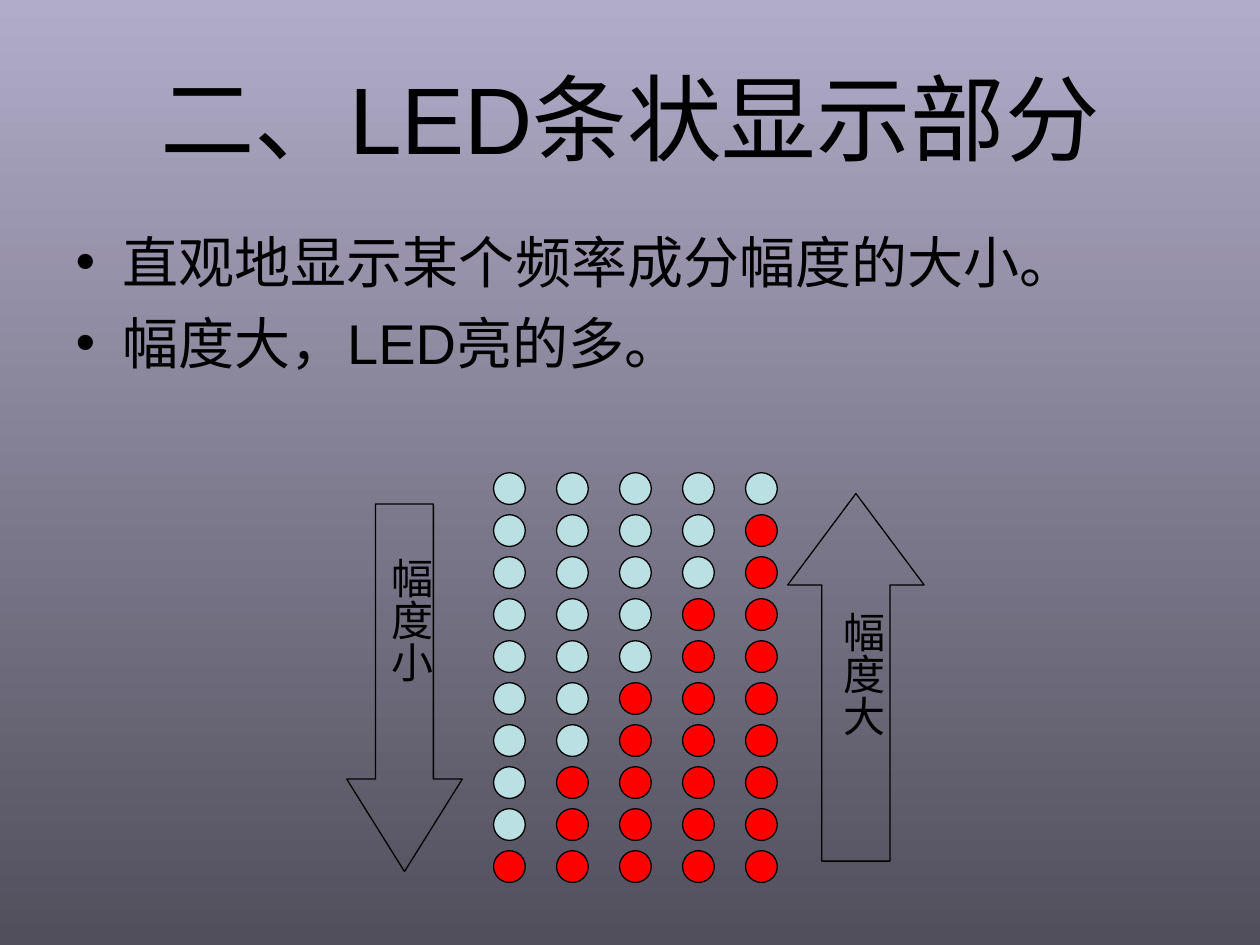
from pptx import Presentation
from pptx.dml.color import RGBColor
from pptx.enum.shapes import MSO_SHAPE as Shape
from pptx.enum.text import MSO_ANCHOR as Anchor, MSO_AUTO_SIZE as AutoSize, PP_ALIGN as Align
from pptx.util import Cm, Pt

BLACK = RGBColor(0x00, 0x00, 0x00)
LIT = RGBColor(0xFF, 0x00, 0x00)
UNLIT = RGBColor(0xBB, 0xE0, 0xE3)
BG_TOP = RGBColor(0xB1, 0xAC, 0xC8)
BG_BOTTOM = RGBColor(0x51, 0x4F, 0x5C)

LED_SIZE = 0.64
LED_LEFT, LED_TOP = 9.95, 9.53
COLUMN_PITCH, ROW_PITCH = 1.27, 7.62 / 9
LED_ROWS = 10
LIT_COUNTS = (1, 3, 5, 7, 9)


def set_background(s):
    """Shade the slide from light at the top to dark at the bottom."""
    fill = s.background.fill
    fill.gradient()
    fill.gradient_angle = 270
    for stop, color in zip(fill.gradient_stops, (BG_TOP, BG_BOTTOM)):
        stop.color.rgb = color


def place(sp, left, top, width, height):
    """Move and size a placeholder, in centimetres."""
    sp.left, sp.top, sp.width, sp.height = map(Cm, (left, top, width, height))


def write(tf, lines, size, align, gap=0):
    """Fill a text frame with one paragraph per line."""
    tf.word_wrap = True
    for i, line in enumerate(lines):
        p = tf.add_paragraph() if i else tf.paragraphs[0]
        p.text = line
        p.alignment = align
        p.space_before = Pt(gap if i else 0)
        p.font.name = "Arial"
        p.font.size = Pt(size)
        p.font.color.rgb = BLACK


def add_outlined(s, kind, left, top, width, height, color=None):
    """Add a thinly outlined shape, filled only when a colour is given."""
    sp = s.shapes.add_shape(kind, Cm(left), Cm(top), Cm(width), Cm(height))
    sp.shadow.inherit = False
    if color is None:
        sp.fill.background()
    else:
        sp.fill.solid()
        sp.fill.fore_color.rgb = color
    sp.line.color.rgb = BLACK
    sp.line.width = Pt(0.75)
    return sp


def add_led_bars(s):
    """Draw the LED columns, each lit from the bottom up."""
    for col, lit in enumerate(LIT_COUNTS):
        for row in range(LED_ROWS):
            color = LIT if row >= LED_ROWS - lit else UNLIT
            add_outlined(s, Shape.OVAL, LED_LEFT + col * COLUMN_PITCH,
                         LED_TOP + row * ROW_PITCH, LED_SIZE, LED_SIZE, color)


def add_vertical_label(s, text, left, top):
    """Add a label whose characters run downwards."""
    tf = s.shapes.add_textbox(Cm(left), Cm(top), Cm(1.52), Cm(4.45)).text_frame
    tf._txBody.bodyPr.set("vert", "eaVert")
    tf.margin_left = tf.margin_right = Cm(0.13)
    tf.margin_top = tf.margin_bottom = Cm(0.25)
    write(tf, [text], 24, Align.CENTER)
    tf.auto_size = AutoSize.SHAPE_TO_FIT_TEXT


def add_arrow(s, kind, left, top, width, head):
    """Add an outlined block arrow with the given head proportion."""
    sp = add_outlined(s, kind, left, top, width, 7.41)
    sp.adjustments[0] = 0.5
    sp.adjustments[1] = head


def main():
    """Build the slide and save it."""
    prs = Presentation()
    prs.slide_width, prs.slide_height = Cm(25.4), Cm(19.05)
    s = prs.slides.add_slide(prs.slide_layouts[1])
    set_background(s)

    title, body = s.shapes.title, s.placeholders[1]
    place(title, 1.27, 0.76, 22.86, 3.18)
    write(title.text_frame, ["二、LED条状显示部分"], 54, Align.CENTER)
    title.text_frame.vertical_anchor = Anchor.MIDDLE
    place(body, 1.27, 4.45, 22.86, 12.57)
    write(body.text_frame, ["直观地显示某个频率成分幅度的大小。", "幅度大，LED亮的多。"],
          32, Align.LEFT, 8)
    for sp in (title, body):
        sp.text_frame.auto_size = AutoSize.NONE

    add_led_bars(s)
    add_vertical_label(s, "幅度小", 7.41, 11)
    add_vertical_label(s, "幅度大", 16.51, 12.07)
    add_arrow(s, Shape.UP_ARROW, 15.88, 9.95, 2.75, 0.67)
    add_arrow(s, Shape.DOWN_ARROW, 6.99, 10.16, 2.33, 0.8)
    prs.save("out.pptx")


if __name__ == "__main__":
    main()
